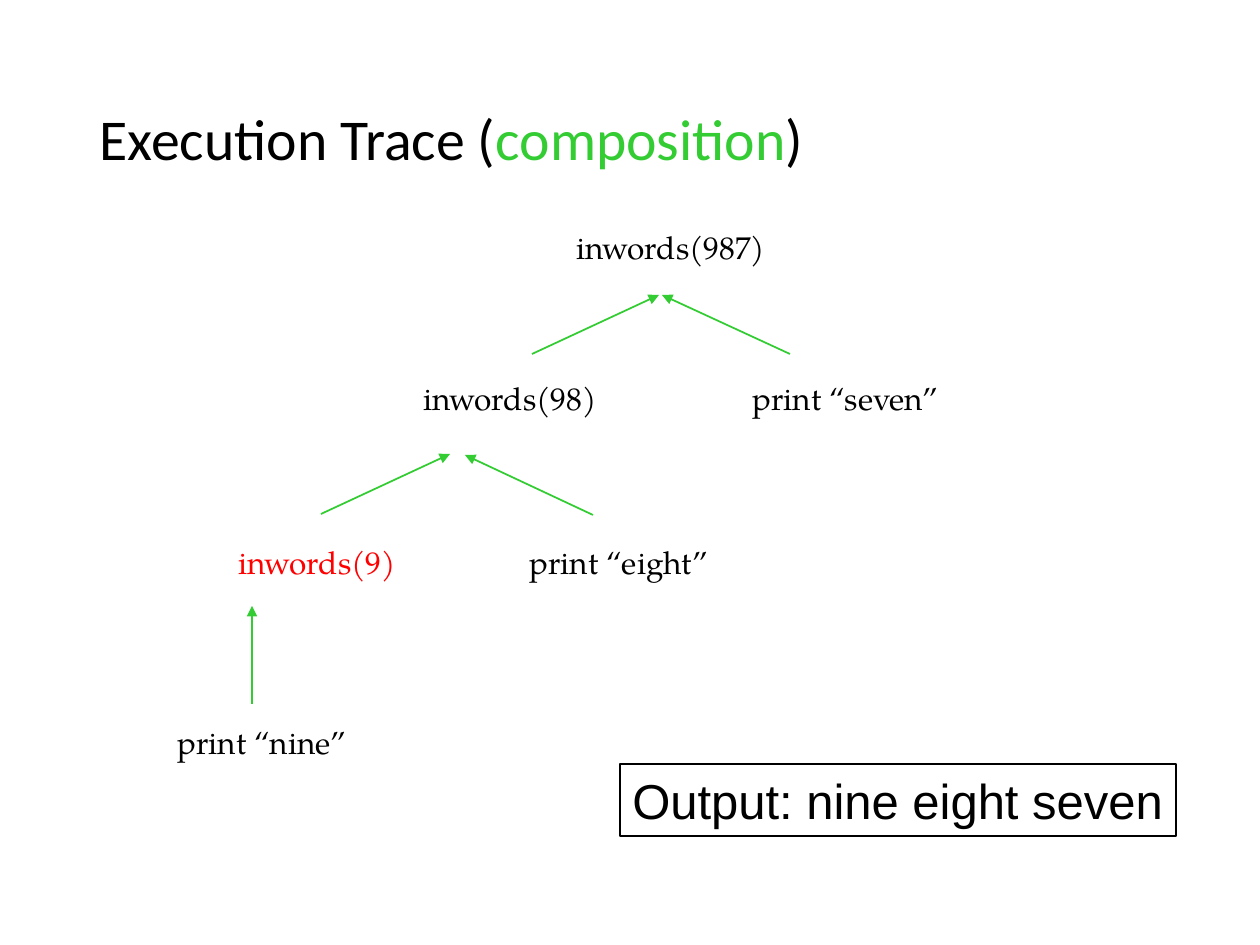
from lxml.etree import SubElement
from pptx import Presentation
from pptx.dml.color import RGBColor
from pptx.enum.shapes import MSO_CONNECTOR, MSO_SHAPE
from pptx.enum.text import MSO_ANCHOR, MSO_AUTO_SIZE, PP_ALIGN
from pptx.oxml.ns import qn
from pptx.util import Pt

PX = 914400 / 126
BLACK = RGBColor(0x00, 0x00, 0x00)
WHITE = RGBColor(0xFF, 0xFF, 0xFF)
GREEN = RGBColor(0x33, 0xCC, 0x33)
RED = RGBColor(0xFF, 0x00, 0x00)


def px(*lengths):
    return [round(length * PX) for length in lengths]


def apply(target, formats):
    for name, value in formats.items():
        setattr(target, name, value)


def write(shape, runs, size, face, frame_format, paragraph_format, tab=None):
    apply(shape.text_frame, frame_format)
    paragraph = shape.text_frame.paragraphs[0]
    apply(paragraph, {"alignment": PP_ALIGN.LEFT, **paragraph_format})
    if tab:
        stops = SubElement(paragraph._p.get_or_add_pPr(), qn("a:tabLst"))
        SubElement(stops, qn("a:tab"), pos=str(px(tab)[0]), algn="l")
    for words, color in runs:
        run = paragraph.add_run()
        run.text = words
        apply(run.font, {"size": Pt(size), "name": face})
        run.font.color.rgb = color


def add_heading(slide, left, top, width, height):
    heading = slide.shapes.title
    apply(heading, dict(zip(("left", "top", "width", "height"),
                            px(left, top, width, height))))
    write(heading,
          [("Execution Trace (", BLACK), ("composition", GREEN), (")", BLACK)],
          33, "Calibri",
          {"vertical_anchor": MSO_ANCHOR.MIDDLE, "word_wrap": True,
           "auto_size": MSO_AUTO_SIZE.NONE},
          {"line_spacing": 0.9})


def add_box(slide, left, top, width, height):
    box = slide.shapes.add_shape(MSO_SHAPE.RECTANGLE, *px(left, top, width, height))
    box.shadow.inherit = False
    return box


def add_return_arrow(slide, start, end):
    arrow = slide.shapes.add_connector(MSO_CONNECTOR.STRAIGHT, *px(*start, *end))
    arrow.line.color.rgb = GREEN
    arrow.line.width = Pt(1)
    SubElement(arrow.line._get_or_add_ln(), qn("a:tailEnd"), type="triangle")
    SubElement(arrow._element.spPr, qn("a:effectLst"))


def add_call_tree(slide, left, top):
    levels = [
        (399, 0, 223, [("inwords(987)", BLACK)], None),
        (246, 151, 568, [("inwords(98)\tprint “seven”", BLACK)], 329),
        (61, 315, 515, [("inwords(9)", RED), ("\tprint “eight”", BLACK)], 291),
        (0, 495, 204, [("print “nine”", BLACK)], None),
    ]
    for x, y, width, runs, tab in levels:
        place = left + x, top + y, width, 50
        if x:
            call = slide.shapes.add_textbox(*px(*place))
        else:
            call = add_box(slide, *place)
            call.fill.solid()
            call.fill.fore_color.rgb = WHITE
            call.line.fill.background()
        write(call, runs, 18, "TeX Gyre Pagella",
              {"word_wrap": bool(tab), "vertical_anchor": MSO_ANCHOR.TOP,
               "auto_size": MSO_AUTO_SIZE.SHAPE_TO_FIT_TEXT}, {}, tab)

    returns = [
        ((625, 132), (497, 73)),
        ((367, 132), (494, 73)),
        ((156, 292), (285, 232)),
        ((428, 293), (300, 233)),
        ((87, 482), (87, 384)),
    ]
    for start, end in returns:
        add_return_arrow(slide, (left + start[0], top + start[1]),
                         (left + end[0], top + end[1]))


def add_output(slide, left, top, width, height):
    output = add_box(slide, left, top, width, height)
    output.fill.background()
    output.line.color.rgb = BLACK
    output.line.width = Pt(1)
    write(output, [("Output: nine eight seven", BLACK)], 28, "Arial",
          {"word_wrap": False, "vertical_anchor": MSO_ANCHOR.TOP,
           "auto_size": MSO_AUTO_SIZE.SHAPE_TO_FIT_TEXT}, {})


def main():
    deck = Presentation()
    deck.slide_width, deck.slide_height = px(1260, 945)
    slide = deck.slides.add_slide(deck.slide_layouts[5])
    add_heading(slide, 87, 50, 1087, 183)
    add_call_tree(slide, 165, 222)
    add_output(slide, 620, 764, 556, 72)
    deck.save("out.pptx")


if __name__ == "__main__":
    main()
